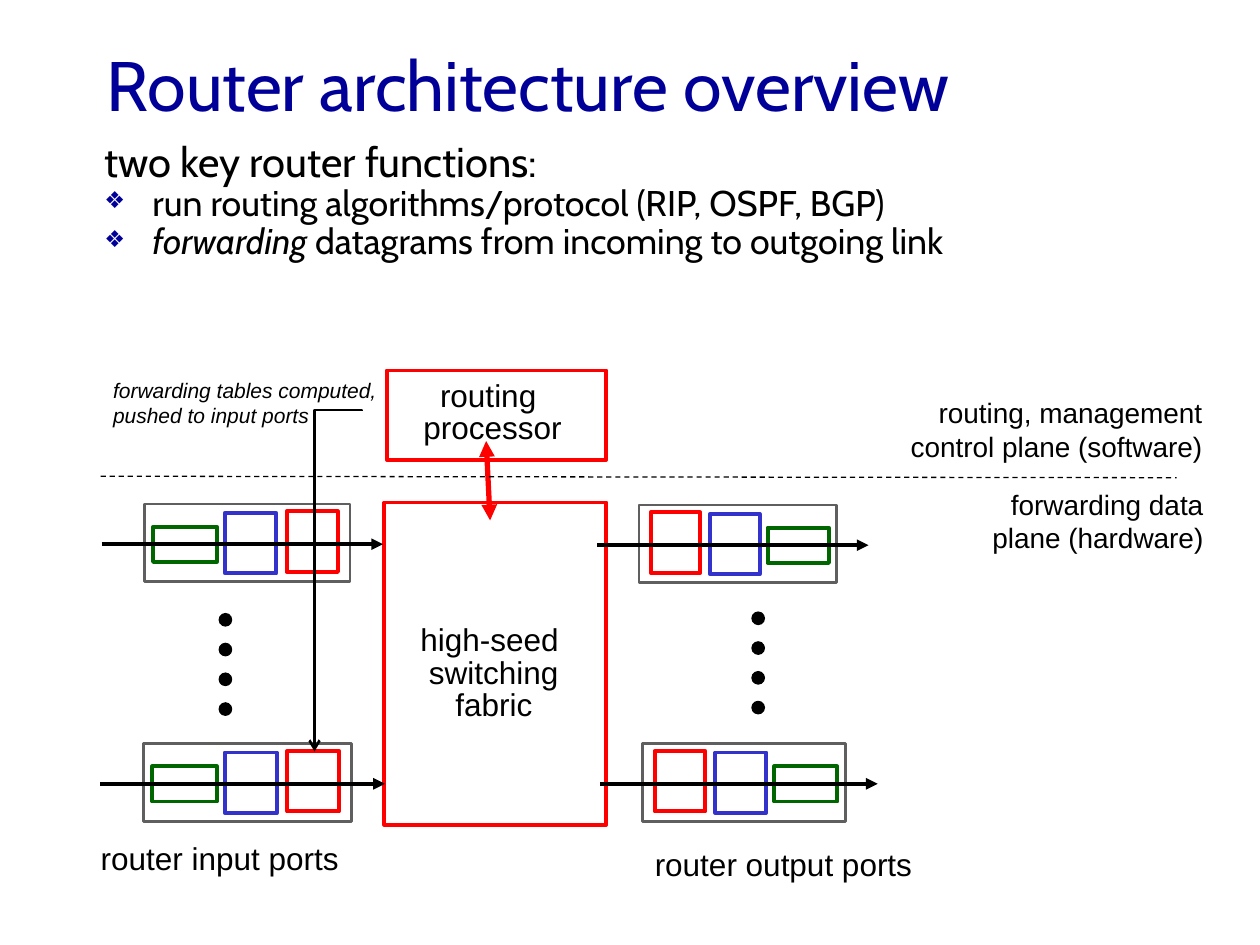
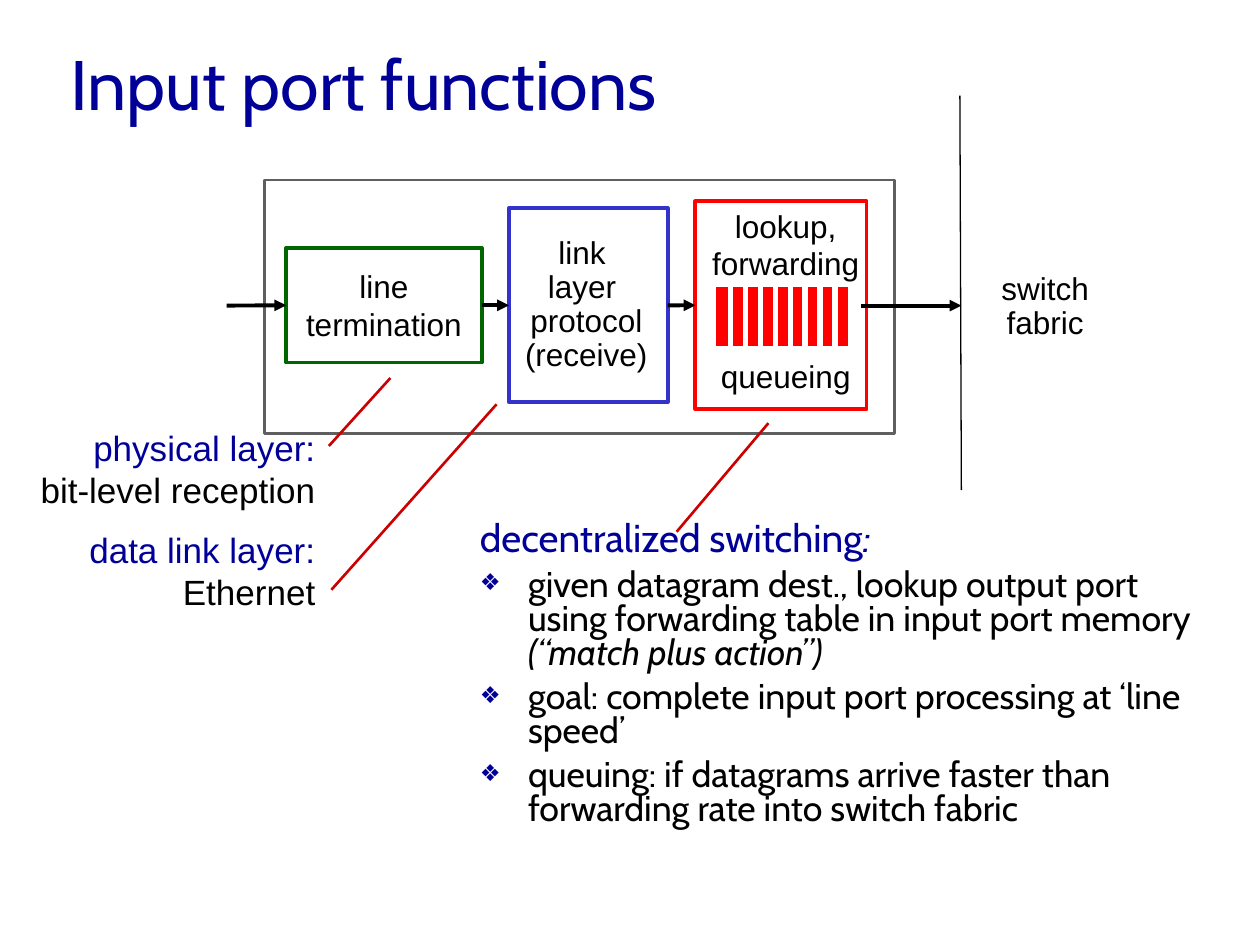
import lxml.etree
import pptx
import pptx.dml.color
import pptx.enum.dml
import pptx.enum.shapes
import pptx.enum.text
import pptx.oxml.ns
import pptx.util

Cm = pptx.util.Cm
Pt = pptx.util.Pt
qn = pptx.oxml.ns.qn
SHAPE = pptx.enum.shapes.MSO_SHAPE
CONNECTOR = pptx.enum.shapes.MSO_CONNECTOR
ALIGN = pptx.enum.text.PP_ALIGN
ANCHOR = pptx.enum.text.MSO_ANCHOR
AUTO_SIZE = pptx.enum.text.MSO_AUTO_SIZE

COLORS = {
    "white": "FFFFFF",
    "black": "000000",
    "navy": "000099",
    "red": "FF0000",
    "callout": "CC0000",
    "gray": "5F5F5F",
    "green": "006600",
    "blue": "3333CC",
}
HEADING_FONT = "Cabin"
LABEL_FONT = "Arial"


def rgb(name):
    return pptx.dml.color.RGBColor.from_string(COLORS[name])


def add_run(p, text, size, font, color="black", italic=False):
    r = p.add_run()
    r.text = text
    r.font.size = Pt(size)
    r.font.name = font
    r.font.italic = italic
    r.font.color.rgb = rgb(color)


def place(sp, left, top, width, height):
    sp.left, sp.top, sp.width, sp.height = Cm(left), Cm(top), Cm(width), Cm(height)


def add_title(slide, left, top, text):
    sp = slide.shapes.title
    place(sp, left, top, 21.59, 1.7)
    tf = sp.text_frame
    tf.auto_size = AUTO_SIZE.NONE
    tf.vertical_anchor = ANCHOR.MIDDLE
    p = tf.paragraphs[0]
    p.alignment = ALIGN.LEFT
    add_run(p, text, 40, HEADING_FONT, "navy")


def set_bullet(p, char):
    pPr = p._p.get_or_add_pPr()
    pPr.set("marL", str(Cm(0.97)))
    pPr.set("indent", str(Cm(-0.97)))
    if not char:
        lxml.etree.SubElement(pPr, qn("a:buNone"))
        return
    clr = lxml.etree.SubElement(pPr, qn("a:buClr"))
    lxml.etree.SubElement(clr, qn("a:srgbClr"), val=COLORS["navy"])
    lxml.etree.SubElement(pPr, qn("a:buSzPct"), val="65000")
    lxml.etree.SubElement(pPr, qn("a:buChar"), char=char)


def add_body(slide, box, spacing, lead, lead_size, lead_color, lead_before, items, before):
    sp = slide.placeholders[1]
    place(sp, *box)
    tf = sp.text_frame
    tf.auto_size = AUTO_SIZE.NONE
    tf.word_wrap = True
    rows = [(lead, lead_size, lead_color, lead_before, None)]
    rows += [(item, 20.4, "black", before, "❖") for item in items]
    for i, (runs, size, color, gap, char) in enumerate(rows):
        p = tf.add_paragraph() if i else tf.paragraphs[0]
        p.line_spacing = spacing
        p.space_before = Pt(gap)
        set_bullet(p, char)
        for text, italic in runs:
            add_run(p, text, size, HEADING_FONT, color, italic)


def fill_text(sp, lines, size=18, align=ALIGN.CENTER, spacing=1.0, anchor=ANCHOR.TOP,
              wrap=False, italic=False, colors=None, last_before=0):
    tf = sp.text_frame
    tf.word_wrap = wrap
    tf.vertical_anchor = anchor
    for i, text in enumerate(lines):
        p = tf.add_paragraph() if i else tf.paragraphs[0]
        p.alignment = align
        p.line_spacing = spacing
        color = colors[i] if colors else "black"
        add_run(p, text, size, LABEL_FONT, color, italic)
    if last_before:
        p.space_before = Pt(last_before)


def add_label(slide, left, top, width, height, lines, **style):
    sp = slide.shapes.add_textbox(Cm(left), Cm(top), Cm(width), Cm(height))
    fill_text(sp, lines, **style)
    return sp


def add_box(slide, left, top, width, height, line, weight=2.25, fill="white", kind=SHAPE.RECTANGLE):
    sp = slide.shapes.add_shape(kind, Cm(left), Cm(top), Cm(width), Cm(height))
    sp.shadow.inherit = False
    sp.fill.solid()
    sp.fill.fore_color.rgb = rgb(fill)
    sp.line.color.rgb = rgb(line)
    sp.line.width = Pt(weight)
    return sp


def add_line(slide, x1, y1, x2, y2, color="black", weight=2.25, head=None, tail=None,
             dashed=False, start=None, end=None, kind=CONNECTOR.STRAIGHT):
    sp = slide.shapes.add_connector(kind, Cm(x1), Cm(y1), Cm(x2), Cm(y2))
    sp.line.color.rgb = rgb(color)
    sp.line.width = Pt(weight)
    if dashed:
        sp.line.dash_style = pptx.enum.dml.MSO_LINE.DASH
    spPr = sp._element.spPr
    ln = spPr.find(qn("a:ln"))
    for tag, arrow in (("a:headEnd", head), ("a:tailEnd", tail)):
        if arrow:
            lxml.etree.SubElement(ln, qn(tag), type=arrow)
    lxml.etree.SubElement(spPr, qn("a:effectLst"))
    if start:
        sp.begin_connect(start, 3)
    if end:
        sp.end_connect(end, 1)
    return sp


def add_push_arrow(slide):
    sp = add_line(slide, 3.38, 11.23, 10.26, 12.19, weight=1.5, tail="arrow",
                  kind=CONNECTOR.ELBOW)
    spPr = sp._element.spPr
    spPr.find(qn("a:xfrm")).set("rot", str(90 * 60000))
    geom = spPr.find(qn("a:prstGeom"))
    guides = geom.find(qn("a:avLst"))
    if guides is None:
        guides = lxml.etree.SubElement(geom, qn("a:avLst"))
    lxml.etree.SubElement(guides, qn("a:gd"), name="adj1", fmla="val -100")


def add_port(slide, left, top, width, mirrored=False):
    add_box(slide, left, top, width, 1.57, "gray", 1.5)
    stages = (
        ("green", 0.04, 0.31, 0.46, 0.71),
        ("blue", 0.39, 0.25, 0.18, 1.22),
        ("red", 0.69, 0.25, 0.15, 1.22),
    )
    for color, offset, share, drop, height in stages:
        if mirrored:
            offset = 1 - offset - share
        add_box(slide, left + offset * width, top + drop, share * width, height, color)
    y = top + 0.81
    add_line(slide, left - 0.21 * width, y, left + 1.16 * width, y, tail="triangle")


def add_dots(slide, left, top):
    for i in range(4):
        add_box(slide, left, top + 0.6 * i, 0.25, 0.25, "black", 0.75, "black", SHAPE.OVAL)


def add_queue(slide):
    add_box(slide, 14.38, 5.74, 2.77, 1.3, "white", 3, "red")
    for i in range(8):
        x = 14.73 + 0.3 * i
        add_line(slide, x, 5.74, x, 6.98, "white", 3)


def build_overview(slide):
    add_title(slide, 1.9, 0.84, "Router architecture overview")
    add_body(slide, (1.85, 2.92, 22.58, 2.54), 0.65,
             [("two key router functions:", False)], 23.8, "black", 4.5,
             [[("run routing algorithms/protocol (RIP, OSPF, BGP)", False)],
              [("forwarding ", True), ("datagrams from incoming to outgoing link", False)]], 6)

    add_box(slide, 7.75, 10.13, 4.47, 6.5, "red")
    add_label(slide, 8.03, 12.5, 3.85, 2.21, ["high-seed ", "switching", "fabric"], spacing=0.85)
    add_box(slide, 7.8, 7.47, 4.42, 1.8, "red")
    add_label(slide, 8.08, 7.57, 3.7, 1.55, ["routing ", "processor"], spacing=0.85)
    add_line(slide, 9.8, 8.89, 9.88, 10.49, "red", 3, "triangle", "triangle")

    add_port(slide, 2.92, 10.16, 4.14)
    add_port(slide, 2.9, 14.99, 4.19)
    add_port(slide, 12.88, 10.18, 3.99, True)
    add_port(slide, 12.95, 14.99, 4.09, True)
    add_dots(slide, 4.42, 12.37)
    add_dots(slide, 15.16, 12.34)
    add_label(slide, 1.78, 16.79, 5.5, 1.02, ["router input ports"], align=ALIGN.LEFT)
    add_label(slide, 12.95, 16.92, 5.9, 1.02, ["router output ports"], align=ALIGN.LEFT)

    add_line(slide, 2.03, 9.6, 23.72, 9.63, weight=0.75, dashed=True)
    add_label(slide, 19.13, 9.7, 5.38, 1.63, ["forwarding data plane (hardware)"],
              size=16, align=ALIGN.RIGHT, wrap=True)
    add_label(slide, 17.68, 7.85, 6.81, 1.63, ["routing, management", "control plane (software)"],
              size=16, align=ALIGN.RIGHT, wrap=True)
    add_push_arrow(slide)
    add_label(slide, 2.03, 7.49, 6, 1.27, ["forwarding tables computed,", "pushed to input ports"],
              size=12, align=ALIGN.LEFT, italic=True)


def build_input_port(slide):
    add_title(slide, 1.17, 0.81, "Input port functions")
    add_body(slide, (9.42, 10.41, 15.16, 7.42), 0.8,
             [("decentralized switching", False), (":", True)], 22.2, "navy", 6,
             [[("given datagram dest., lookup output port using forwarding table "
                "in input port memory ", False), ("(“match plus action”)", True)],
              [("goal: complete input port processing at ‘line speed’", False)],
              [("queuing: if datagrams arrive faster than forwarding rate "
                "into switch fabric", False)]], 5.5)

    add_box(slide, 5.33, 3.63, 12.7, 5.11, "gray", 1.5)
    termination = add_box(slide, 5.77, 5, 3.94, 2.31, "green")
    fill_text(termination, ["line", "termination"], anchor=ANCHOR.MIDDLE)
    link = add_box(slide, 10.26, 4.2, 3.2, 3.91, "blue")
    lookup = add_box(slide, 14.02, 4.06, 3.45, 4.19, "red")

    add_line(slide, 4.57, 6.16, 5.77, 6.16, tail="triangle", end=termination)
    add_line(slide, 9.71, 6.16, 10.26, 6.16, tail="triangle", start=termination, end=link)
    add_line(slide, 13.46, 6.16, 14.02, 6.16, tail="triangle", start=link, end=lookup)
    add_line(slide, 17.35, 6.16, 19.38, 6.16, tail="triangle")

    add_label(slide, 10.07, 5, 3.5, 2.31, ["link ", "layer ", "protocol", "(receive)"],
              spacing=0.9, anchor=ANCHOR.MIDDLE)
    add_label(slide, 13.84, 4.04, 4, 4.06, ["lookup,", "forwarding", "queueing"],
              last_before=43)
    add_queue(slide)

    add_line(slide, 19.35, 1.93, 19.38, 9.88, weight=0.75)
    add_label(slide, 19.61, 5.05, 2.92, 2.31, ["switch", "fabric"],
              spacing=0.9, anchor=ANCHOR.MIDDLE)

    layer_style = {"size": 20, "align": ALIGN.RIGHT, "colors": ["navy", "black"]}
    for top, lines in ((8.48, ["physical layer:", "bit-level reception"]),
                       (10.52, ["data link layer:", "Ethernet"])):
        add_label(slide, 0.3, top, 6.31, 1.96, lines, **layer_style)
    for ends in ((6.63, 8.99, 7.87, 7.62), (6.68, 11.89, 10.01, 8.15), (13.64, 10.72, 15.49, 8.53)):
        add_line(slide, *ends, "callout", 1.5)


def main():
    prs = pptx.Presentation()
    prs.slide_width, prs.slide_height = Cm(25.4), Cm(19.05)
    for build in (build_overview, build_input_port):
        build(prs.slides.add_slide(prs.slide_layouts[1]))
    prs.save("out.pptx")


if __name__ == "__main__":
    main()
